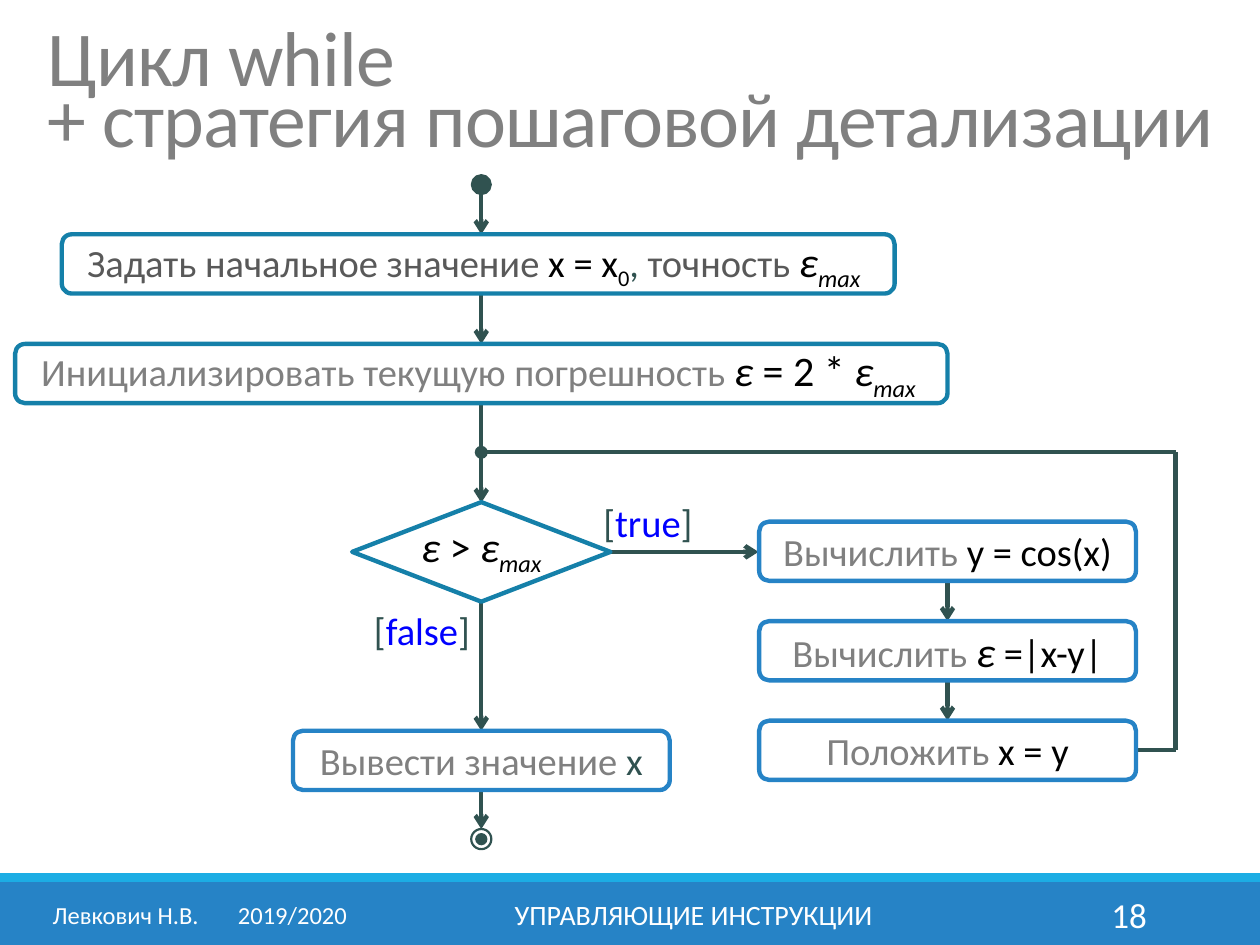
"""Builds the slide with the flowchart of the while loop."""
from itertools import pairwise
from lxml.etree import SubElement
from pptx import Presentation
from pptx.dml.color import RGBColor as Rgb
from pptx.enum.shapes import MSO_CONNECTOR as Link, MSO_SHAPE as Kind
from pptx.enum.text import MSO_ANCHOR as Anchor, MSO_AUTO_SIZE as Fit, PP_ALIGN as Align
from pptx.oxml.ns import qn
from pptx.util import Inches, Pt

THEME = {
    "face": "Calibri", "wire": "305250", "teal": "1580A9", "blue": "2683C6",
    "cyan": "1CADE4", "white": "FFFFFF", "bold": 2.5, "thin": 1.25,
}
STYLES = {
    "title": {"size": 44.4, "color": "808080", "spc": -50},
    "grey": {"size": 22, "color": "808080"},
    "dark": {"size": 22, "color": "595959"},
    "ink": {"size": 22, "color": "000000"},
    "low": {"size": 22, "color": "000000", "baseline": -25000},
    "wire": {"size": 22, "color": "305250"},
    "key": {"size": 22, "color": "0000FF"},
    "eps": {"size": 24, "color": "000000", "italic": True},
    "max": {"size": 24, "color": "000000", "italic": True, "baseline": -25000},
    "math": {"size": 24, "color": "000000"},
    "note": {"size": 14, "color": "FFFFFF"},
    "topic": {"size": 16, "color": "FFFFFF"},
    "page": {"size": 20, "color": "FFFFFF"},
}

COLS, ROWS = 100, 75
WIDE, HIGH = Inches(10), Inches(7.5)
MAIN, SIDE, BACK = 38.2, 75.2, 93.3
BOX, STEP, JOIN, TEST = 4.7, 7.9, 35.9, 43.8
SIDE_TOP, OUT_TOP, END_TOP = 41.4, 58, 65.8
LOOP = SIDE_TOP + 2 * STEP + BOX / 2

TITLE = ["Цикл while", "+ стратегия пошаговой детализации"]
STEPS = [
    (MAIN, 27.3, 74, "teal", [("Инициализировать текущую погрешность ", "grey"),
                              ("ε ", "eps"), ("= 2 * ", "math"), ("ε", "eps"), ("max ", "max")]),
    (37.95, 18.6, 66.1, "teal", [("Задать начальное значение ", "dark"), ("x = x", "ink"),
                                 ("0", "low"), (", ", "wire"), ("точность ", "dark"),
                                 ("ε", "eps"), ("max", "max"), (" ", "ink")]),
    (MAIN, OUT_TOP, 29.9, "blue", [("Вывести значение ", "grey"), ("x", "wire")]),
]
BODY = [
    [("Вычислить ", "grey"), ("y = cos(x)", "ink")],
    [("Вычислить ", "grey"), ("ε", "eps"), (" =|x-y|", "ink")],
    [("Положить ", "grey"), ("x = y", "ink")],
]
STEPS += [(SIDE, SIDE_TOP + i * STEP, 29.9, "blue", runs) for i, runs in enumerate(BODY)]
CHECK = [("ε ", "eps"), ("> ", "math"), ("ε", "eps"), ("max", "max")]
LABELS = [(46.9, 39.1, 11, "true"), (28.7, 47.7, 9.7, "false")]
FOOT = [
    (3.2, 26.1, Align.LEFT, "Левкович Н.В.\t2019/2020", "note"),
    (30.2, 49.7, Align.CENTER, "УПРАВЛЯЮЩИЕ ИНСТРУКЦИИ", "topic"),
    (81.2, 10.8, Align.RIGHT, "18", "page"),
]
FLOWS = [(MAIN, 15.4, 18.6), (MAIN, 23.3, 27.3), (MAIN, 32, 39.9),
         (MAIN, 47.7, OUT_TOP), (MAIN, OUT_TOP + BOX, END_TOP)]
FLOWS += [(SIDE, SIDE_TOP + i * STEP + BOX, SIDE_TOP + (i + 1) * STEP) for i in range(2)]
RETURN = [(90.2, LOOP), (BACK, LOOP), (BACK, JOIN), (MAIN, JOIN)]
MARKS = [(14.65, 1.5, "wire"), (END_TOP + 0.8, 1.6, None), (END_TOP + 0.8, 0.8, "wire")]


def spot(x, y):
    return round(x * WIDE / COLS), round(y * HIGH / ROWS)


def write(para, runs):
    for text, name in runs:
        run = para.add_run()
        run.text = text
        run.font.name = THEME["face"]
        for key, val in STYLES[name].items():
            if key == "color":
                run.font.color.rgb = Rgb.from_string(val)
            elif key in ("spc", "baseline"):
                run.font._element.set(key, str(val))
            else:
                setattr(run.font, key, Pt(val) if key == "size" else val)


def shape(slide, kind, area, fill=None, line=None, width=THEME["bold"]):
    x, y, w, h = area
    item = slide.shapes.add_shape(kind, *spot(x, y), *spot(w, h))
    item.shadow.inherit = False
    if fill:
        item.fill.solid()
        item.fill.fore_color.rgb = Rgb.from_string(THEME[fill])
    else:
        item.fill.background()
    if line:
        item.line.color.rgb = Rgb.from_string(THEME[line])
        item.line.width = Pt(width)
    else:
        item.line.fill.background()
    return item


def fill_text(item, runs, align=Align.CENTER, anchor=Anchor.MIDDLE):
    frame = item.text_frame
    frame.word_wrap, frame.vertical_anchor = True, anchor
    para = frame.paragraphs[0]
    para.alignment = align
    write(para, runs)
    return frame


def label(slide, area, runs, align, anchor):
    x, y, w, h = area
    item = slide.shapes.add_textbox(*spot(x, y), *spot(w, h))
    return fill_text(item, runs, align, anchor)


def wire(slide, start, end, tip=None):
    item = slide.shapes.add_connector(Link.STRAIGHT, *spot(*start), *spot(*end))
    item.line.color.rgb = Rgb.from_string(THEME["wire"])
    item.line.width = Pt(THEME["bold"])
    if tip:
        SubElement(item.line._get_or_add_ln(), qn("a:tailEnd"), type=tip)
    SubElement(item._element.spPr, qn("a:effectLst"))


def add_title(slide):
    title = slide.shapes.title
    title.left, title.top = spot(2.8, 2.1)
    title.width, title.height = spot(95.3, 11.5)
    frame = title.text_frame
    frame.auto_size = Fit.NONE
    para = frame.paragraphs[0]
    para.line_spacing = 0.65
    fill_text(title, [(TITLE[0], "title")], Align.LEFT)
    para.add_line_break()
    write(para, [(TITLE[1], "title")])


def add_foot(slide):
    shape(slide, Kind.RECTANGLE, (0, 70, COLS, 5), "blue")
    shape(slide, Kind.RECTANGLE, (0, 69.3, COLS, 0.7), "cyan")
    for x, w, align, text, name in FOOT:
        frame = label(slide, (x, 70.6, w, 4), [(text, name)], align, Anchor.MIDDLE)
        if "\t" in text:
            tabs = SubElement(frame.paragraphs[0]._p.get_or_add_pPr(), qn("a:tabLst"))
            SubElement(tabs, qn("a:tab"), pos=str(Inches(1.47)), algn="l")


def add_chart(slide):
    for x, top, end in FLOWS:
        wire(slide, (x, top), (x, end), "arrow")
    wire(slide, (48.4, TEST), (60.2, TEST), "arrow")
    for start, end in pairwise(RETURN):
        wire(slide, start, end, "oval" if end == RETURN[-1] else None)
    for mid, size, fill in MARKS:
        area = (MAIN - size / 2, mid - size / 2, size, size)
        shape(slide, Kind.FLOWCHART_CONNECTOR, area, fill, "wire", THEME["thin"])
    for mid, top, wide, line, runs in STEPS:
        area = (mid - wide / 2, top, wide, BOX)
        fill_text(shape(slide, Kind.FLOWCHART_ALTERNATE_PROCESS, area, "white", line), runs)
    area = (MAIN - 10.25, TEST - STEP / 2, 20.5, STEP)
    frame = fill_text(shape(slide, Kind.FLOWCHART_DECISION, area, "white", "teal"), CHECK)
    frame.margin_left = frame.margin_right = frame.margin_top = 0
    for x, y, w, word in LABELS:
        runs = [("[", "wire"), (word, "key"), ("]", "wire")]
        label(slide, (x, y, w, BOX), runs, Align.LEFT, Anchor.TOP)


def main():
    deck = Presentation()
    deck.slide_width, deck.slide_height = WIDE, HIGH
    slide = deck.slides.add_slide(deck.slide_layouts[5])
    add_foot(slide)
    add_title(slide)
    add_chart(slide)
    deck.save("out.pptx")


if __name__ == "__main__":
    main()
